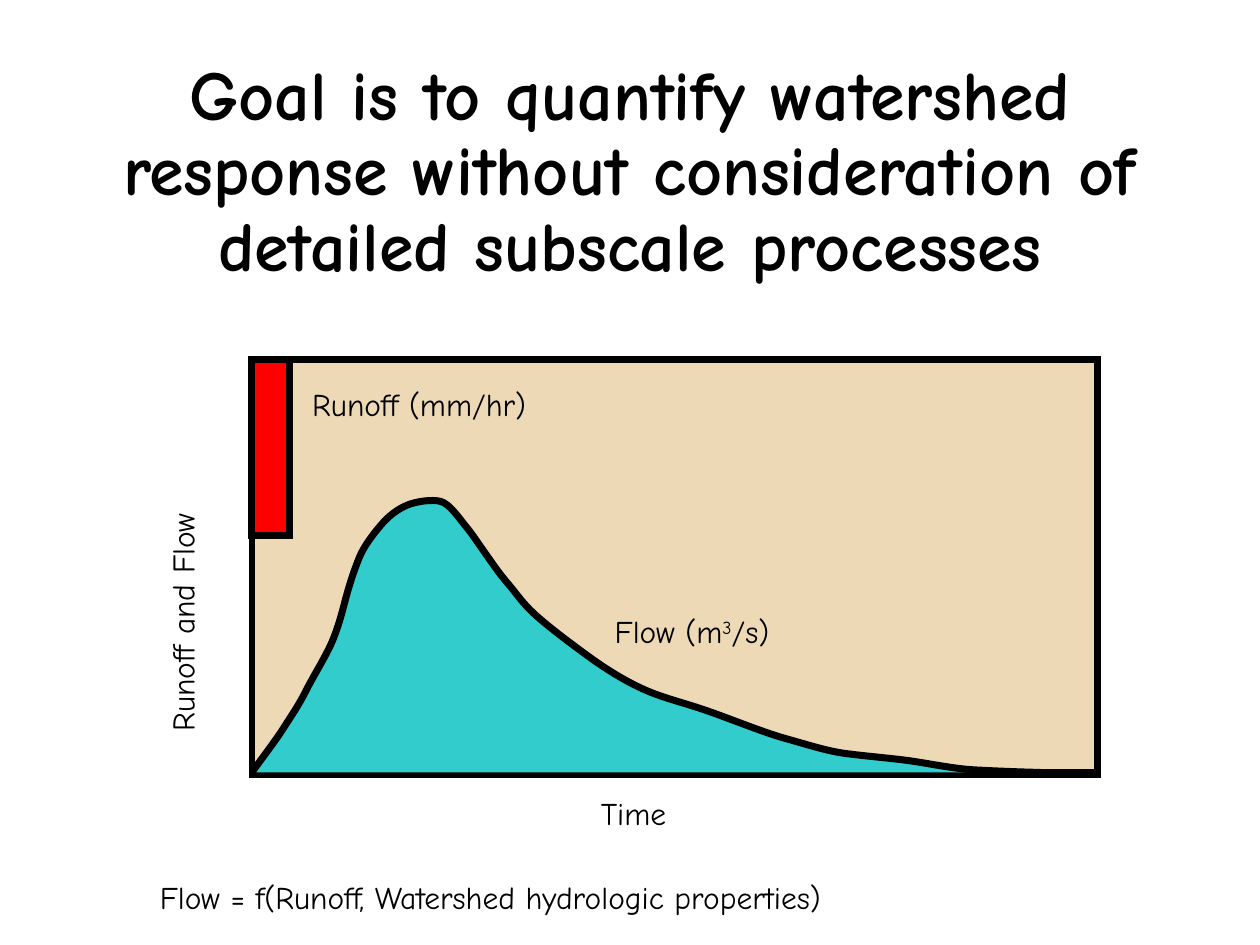
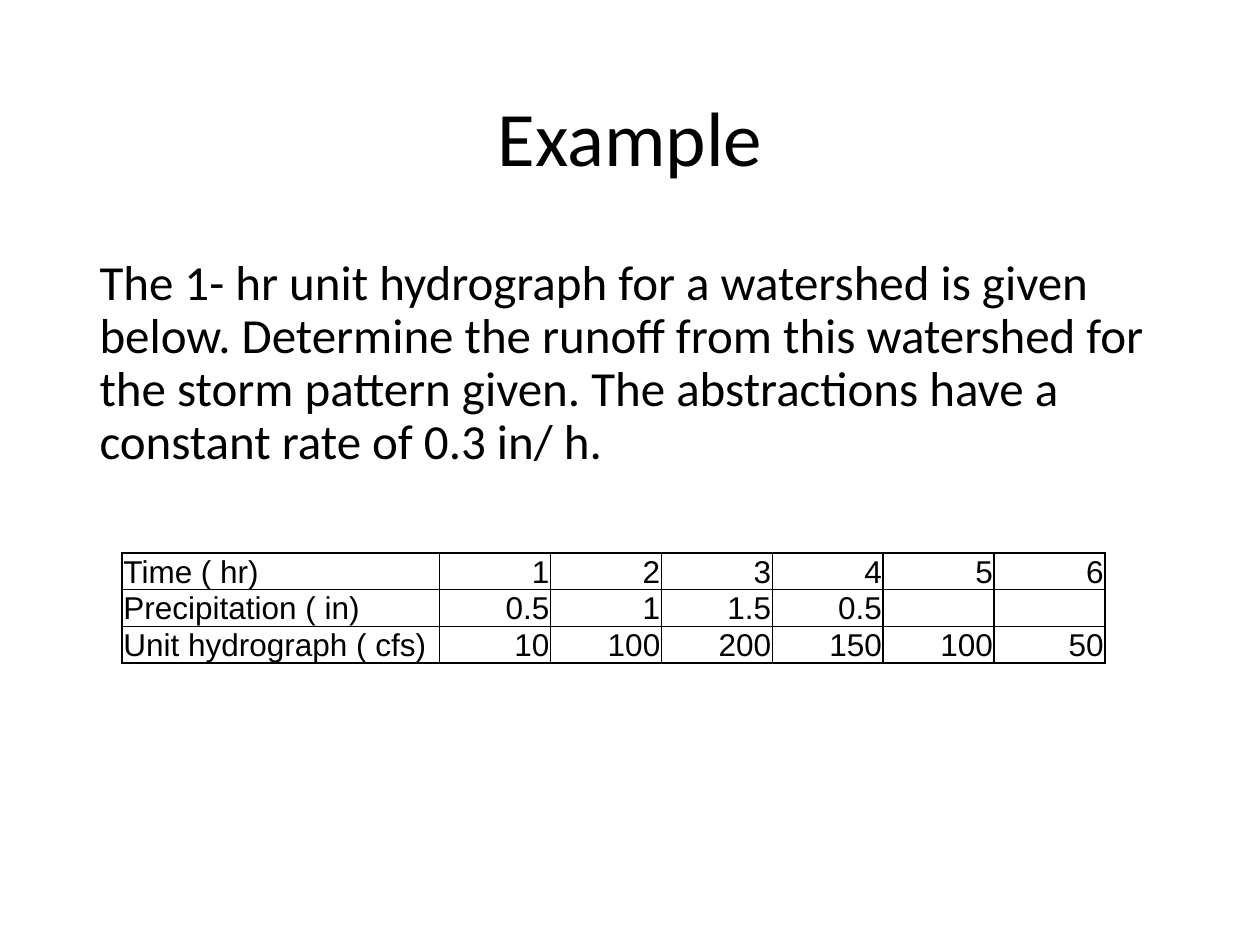
from lxml.etree import SubElement
from pptx import Presentation
from pptx.dml.color import RGBColor
from pptx.enum.shapes import MSO_CONNECTOR, MSO_SHAPE
from pptx.enum.text import MSO_ANCHOR, MSO_AUTO_SIZE, PP_ALIGN
from pptx.oxml.ns import qn
from pptx.util import Emu, Pt

PX = 9144
BLACK, SAND, TEAL, RED = "000000", "EDD9B5", "33CCCC", "FF0000"
HAND, SANS, TABLE_FONT = "Comic Neue", "Calibri", "Arial"


def color(hex_code):
    return RGBColor.from_string(hex_code)


def add_run(paragraph, text, size, font, bold=False):
    run = paragraph.add_run()
    run.text = text
    run.font.size = Pt(size)
    run.font.name = font
    run.font.bold = bold
    run.font.color.rgb = color(BLACK)
    return run


presentation = Presentation()
presentation.slide_width = Emu(1000 * PX)
presentation.slide_height = Emu(750 * PX)
title_only = presentation.slide_layouts[5]
title_and_content = presentation.slide_layouts[1]

slides = []
for layout, text, size, font, bold, box in [
    (title_only, "Goal is to quantify watershed response without consideration of "
     "detailed subscale processes", 40, HAND, True, (75, 0, 850, 275)),
    (title_and_content, "Example", 44, SANS, False, (69, 40, 862, 145)),
]:
    slide = presentation.slides.add_slide(layout)
    title = slide.shapes.title
    title.left, title.top, title.width, title.height = [Emu(n * PX) for n in box]
    title.text_frame.auto_size = MSO_AUTO_SIZE.NONE
    title.text_frame.vertical_anchor = MSO_ANCHOR.MIDDLE
    paragraph = title.text_frame.paragraphs[0]
    paragraph.alignment = PP_ALIGN.CENTER
    paragraph.line_spacing = 0.9
    add_run(paragraph, text, size, font, bold)
    slides.append(slide)
graph_slide, example_slide = slides

LEFT, TOP, RIGHT, BASE = 200, 285, 871, 613
plot = graph_slide.shapes.add_shape(
    MSO_SHAPE.RECTANGLE, LEFT * PX, TOP * PX, (RIGHT - LEFT) * PX, 330 * PX)

axes = []
for x1, y1, x2, y2 in [(LEFT, BASE, LEFT, 283), (LEFT, BASE, RIGHT, BASE)]:
    axes.append(graph_slide.shapes.add_connector(
        MSO_CONNECTOR.STRAIGHT, x1 * PX, y1 * PX, x2 * PX, y2 * PX))

flow_points = [
    (LEFT, BASE), (225, 578), (243, 548), (265, 506), (275, 473), (285, 443),
    (303, 416), (323, 401), (350, 398), (370, 418), (383, 436), (403, 463),
    (425, 488), (470, 523), (513, 548), (558, 563), (623, 586), (671, 598),
    (716, 603), (773, 611), (826, BASE),
]
builder = graph_slide.shapes.build_freeform(*flow_points[0], scale=PX)
builder.add_line_segments(flow_points[1:], close=False)
flow_area = builder.convert_to_shape()

anchors = [(int(point.get("x")), int(point.get("y")))
           for point in flow_area._element.iter(qn("a:pt"))]
padded = [anchors[0], *anchors, anchors[-1]]
segments = list(flow_area._element.iter(qn("a:lnTo")))
for segment, before, start, end, after in zip(
        segments, padded, padded[1:], padded[2:], padded[3:]):
    leaving = [b + (c - a) // 6 for a, b, c in zip(before, start, end)]
    arriving = [b - (c - a) // 6 for a, b, c in zip(start, end, after)]
    segment.tag = qn("a:cubicBezTo")
    segment.remove(segment[0])
    for x, y in (leaving, arriving, end):
        SubElement(segment, qn("a:pt"), x=str(x), y=str(y))

axes.append(graph_slide.shapes.add_connector(
    MSO_CONNECTOR.STRAIGHT, LEFT * PX, TOP * PX, RIGHT * PX, TOP * PX))
runoff_bar = graph_slide.shapes.add_shape(
    MSO_SHAPE.RECTANGLE, LEFT * PX, TOP * PX, 30 * PX, 140 * PX)

for shape, fill in [(plot, SAND), (flow_area, TEAL), (runoff_bar, RED)]:
    shape.shadow.inherit = False
    shape.fill.solid()
    shape.fill.fore_color.rgb = color(fill)
for axis in axes:
    SubElement(axis._element.spPr, qn("a:effectLst"))
for shape in [plot, flow_area, runoff_bar, *axes]:
    shape.line.color.rgb = color(BLACK)
    shape.line.width = Pt(4)
for rectangle in (plot, runoff_bar):
    SubElement(rectangle._element.spPr.find(qn("a:ln")), qn("a:miter"), lim="800000")

for x, y, width, rotation, parts in [
    (238, 301, 266, 0, ["Runoff (mm/hr)"]),
    (478, 481, 197, 0, ["Flow (m", "3", "/s)"]),
    (467, 625, 96, 0, ["Time"]),
    (14, 430, 271, 270, ["Runoff and Flow"]),
    (117, 692, 813, 0, ["Flow = f(Runoff, Watershed hydrologic properties)"]),
]:
    label = graph_slide.shapes.add_textbox(x * PX, y * PX, width * PX, 50 * PX)
    label.rotation = rotation
    label.text_frame.word_wrap = True
    for part in parts:
        run = add_run(label.text_frame.paragraphs[0], part, 18, HAND)
        if part == "3":
            run.font._element.set("baseline", "30000")

body = example_slide.placeholders[1]
body.left, body.top, body.width, body.height = [
    Emu(n * PX) for n in (69, 200, 862, 476)]
body.text_frame.auto_size = MSO_AUTO_SIZE.NONE
paragraph = body.text_frame.paragraphs[0]
paragraph.line_spacing = 0.9
paragraph.space_before = Pt(10)
properties = paragraph._p.get_or_add_pPr()
properties.set("marL", "0")
properties.set("indent", "0")
SubElement(properties, qn("a:buNone"))
add_run(paragraph, "The 1- hr unit hydrograph for a watershed is given below. "
        "Determine the runoff from this watershed for the storm pattern given. "
        "The abstractions have a constant rate of 0.3 in/ h.", 28, SANS)

storm_rows = [
    ["Time ( hr)", "1", "2", "3", "4", "5", "6"],
    ["Precipitation ( in)", "0.5", "1", "1.5", "0.5", "", ""],
    ["Unit hydrograph ( cfs)", "10", "100", "200", "150", "100", "50"],
]
table = example_slide.shapes.add_table(
    3, 7, 97 * PX, 439 * PX, 780 * PX, 87 * PX).table
table.first_row = False
table.horz_banding = False
for index, column in enumerate(table.columns):
    column.width = Emu((88 if index else 252) * PX)
for row, values in zip(table.rows, storm_rows):
    row.height = Emu(29 * PX)
    for index, (cell, value) in enumerate(zip(row.cells, values)):
        cell.margin_left = cell.margin_right = cell.margin_top = Emu(PX)
        cell.margin_bottom = 0
        cell.vertical_anchor = MSO_ANCHOR.BOTTOM
        paragraph = cell.text_frame.paragraphs[0]
        paragraph.alignment = PP_ALIGN.RIGHT if index else PP_ALIGN.LEFT
        if value:
            add_run(paragraph, value, 18, TABLE_FONT)
        else:
            SubElement(paragraph._p, qn("a:endParaRPr"), sz="1200")
        cell_properties = cell._tc.get_or_add_tcPr()
        for side in ("lnL", "lnR", "lnT", "lnB"):
            border = SubElement(cell_properties, qn(f"a:{side}"), w=str(Pt(1)))
            border_fill = SubElement(border, qn("a:solidFill"))
            SubElement(border_fill, qn("a:srgbClr"), val=BLACK)
        cell.fill.background()

presentation.save("out.pptx")
